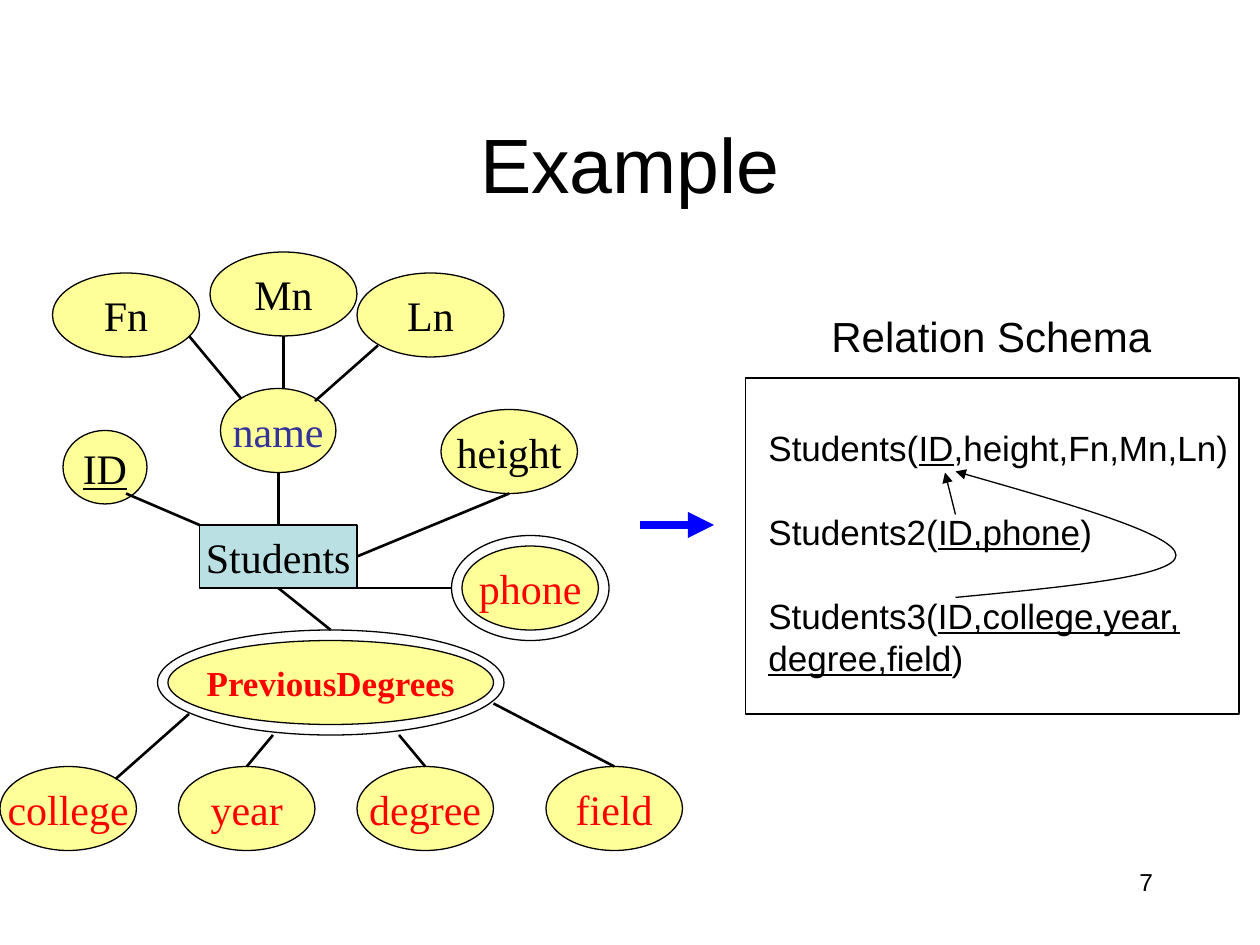
from dataclasses import dataclass

import pptx
import pptx.dml.color
import pptx.enum.shapes
import pptx.enum.text
import pptx.oxml
import pptx.oxml.ns
import pptx.util

COLORS = {"black": "000000", "red": "FF0000", "indigo": "333399", "blue": "0000FF",
          "yellow": "FFFF99", "teal": "BBE0E3"}
SERIF, SANS = "Times New Roman", "Arial"
ALIGN = pptx.enum.text.PP_ALIGN
ANCHOR = pptx.enum.text.MSO_ANCHOR
SHAPE = pptx.enum.shapes.MSO_SHAPE
Pt = pptx.util.Pt

prs = pptx.Presentation()
prs.slide_width, prs.slide_height = pptx.util.Inches(10), pptx.util.Inches(7.5)
slide = prs.slides.add_slide(prs.slide_layouts[6])

# Grid of 120 columns by 90 rows; all positions below are in its units
COL, ROW = prs.slide_width / 120, prs.slide_height / 90


@dataclass
class Node:
    """A box of the entity diagram; without a label it is an open outline."""
    x: float
    y: float
    w: float
    h: float
    label: str = ""
    color: str = "black"
    fill: str = "yellow"
    size: int = 24
    bold: bool = False
    underline: bool = False
    kind: int = SHAPE.OVAL


@dataclass
class Edge:
    x1: float
    y1: float
    x2: float
    y2: float
    color: str = "black"
    width: float = 1.5
    arrow: bool = False


@dataclass
class Label:
    """A text box; every second segment is underlined."""
    x: float
    y: float
    w: float
    h: float
    segments: list[str]
    size: int = 20
    before: int = 0
    align: int = ALIGN.LEFT
    anchor: int = ANCHOR.TOP
    wrap: bool = True


def rgb(name: str) -> pptx.dml.color.RGBColor:
    return pptx.dml.color.RGBColor.from_string(COLORS[name])


def place(*units: float) -> list[int]:
    """Turn alternating column and row counts into lengths."""
    return [round(u * (ROW if i % 2 else COL)) for i, u in enumerate(units)]


def add_run(p, text: str, color: str, **font) -> None:
    r = p.add_run()
    r.text = text
    r.font.color.rgb = rgb(color)
    for name, value in font.items():
        setattr(r.font, name, value)


def set_line(sp, color: str, width: float, arrow: bool = False) -> None:
    sp.line.color.rgb = rgb(color)
    sp.line.width = Pt(width)
    if arrow:
        pptx.oxml.ns.qn("a:tailEnd")
        tail = pptx.oxml.parse_xml(
            f'<a:tailEnd {pptx.oxml.ns.nsdecls("a")} type="triangle"/>')
        sp.line._get_or_add_ln().append(tail)


def add_node(node: Node) -> None:
    sp = slide.shapes.add_shape(node.kind, *place(node.x, node.y, node.w, node.h))
    sp.shadow.inherit = False
    set_line(sp, "black", 0.75)
    if not node.label:
        sp.fill.background()
        return
    sp.fill.solid()
    sp.fill.fore_color.rgb = rgb(node.fill)
    tf = sp.text_frame
    tf.word_wrap = False
    tf.vertical_anchor = ANCHOR.MIDDLE
    p = tf.paragraphs[0]
    p.alignment = ALIGN.CENTER
    add_run(p, node.label, node.color, name=SERIF, size=Pt(node.size),
            bold=node.bold, underline=node.underline)


def add_edge(edge: Edge) -> None:
    sp = slide.shapes.add_connector(pptx.enum.shapes.MSO_CONNECTOR.STRAIGHT,
                                    *place(edge.x1, edge.y1, edge.x2, edge.y2))
    set_line(sp, edge.color, edge.width, edge.arrow)
    sp._element.spPr.append(
        pptx.oxml.parse_xml(f'<a:effectLst {pptx.oxml.ns.nsdecls("a")}/>'))


def add_label(label: Label) -> None:
    tf = slide.shapes.add_textbox(*place(label.x, label.y, label.w, label.h)).text_frame
    tf.word_wrap = label.wrap
    tf.vertical_anchor = label.anchor
    p = tf.paragraphs[0]
    for name, value in {"alignment": label.align, "space_before": Pt(label.before)}.items():
        setattr(p, name, value)
    for i, text in enumerate(label.segments):
        add_run(p, text, "black", name=SANS, size=Pt(label.size), underline=i % 2 == 1)


def add_curve(start: tuple, curves: list[tuple]) -> None:
    """Draw Bezier curves; each one is two control points and an end point."""
    builder = slide.shapes.build_freeform(*place(*start))
    builder.add_line_segments([place(*points[-1]) for points in curves], close=False)
    sp = builder.convert_to_shape()
    sp.shadow.inherit = False
    sp.fill.background()
    set_line(sp, "black", 0.75, arrow=True)
    # Exchange each straight segment for its curve
    segments = list(sp._element.iter(pptx.oxml.ns.qn("a:lnTo")))
    for segment, points in zip(segments, curves):
        marks = ""
        for x, y in (place(*point) for point in points):
            marks += f'<a:pt x="{x - sp.left}" y="{y - sp.top}"/>'
        bezier = pptx.oxml.parse_xml(
            f'<a:cubicBezTo {pptx.oxml.ns.nsdecls("a")}>{marks}</a:cubicBezTo>')
        segment.getparent().replace(segment, bezier)


NODES = [
    # Entity and its attributes
    Node(19, 50, 15, 6, "Students", fill="teal", kind=SHAPE.RECTANGLE),
    Node(6, 41, 8, 7, "ID", underline=True),
    Node(21, 37, 11, 8, "name", "indigo"),
    Node(42, 39, 13, 8, "height"),
    # Parts of the name
    Node(5, 26, 14, 8, "Fn"),
    Node(20, 24, 14, 8, "Mn"),
    Node(34, 26, 14, 8, "Ln"),
    # Multivalued attributes with their outer rings
    Node(44, 52, 13, 8, "phone", "red"),
    Node(43, 51, 15, 10),
    Node(16, 61, 31, 8, "PreviousDegrees", "red", size=20, bold=True),
    Node(15, 60, 33, 10),
    # Parts of a degree
    *(Node(x, 73, 13, 8, text, "red")
      for x, text in [(0, "college"), (17, "year"), (34, "degree"), (52, "field")]),
    # Frame of the relation schema
    Node(71, 36, 47, 32, kind=SHAPE.RECTANGLE),
]

EDGES = [
    # Students to attributes
    Edge(19, 50, 12, 47), Edge(26.5, 50, 26.5, 45), Edge(34, 53, 48.5, 47),
    Edge(34, 56, 43, 56), Edge(26.5, 56, 31.5, 60),
    # Name to its parts
    Edge(23, 38, 18, 32), Edge(27, 37, 27, 32), Edge(30, 38.2, 36, 32.9),
    # Degrees to their parts
    Edge(18, 68, 11, 74.2), Edge(26, 70, 23.5, 73), Edge(40.5, 73, 38, 70),
    Edge(58.5, 73, 47, 67),
    # Diagram to schema, and foreign key
    Edge(61, 50, 68, 50, "blue", 5, True),
    Edge(91, 49, 90, 45, width=0.75, arrow=True),
]

LABELS = [
    Label(9, 8, 102, 15, ["Example"], 44, align=ALIGN.CENTER, anchor=ANCHOR.MIDDLE),
    Label(78, 29, 39, 6, ["Relation Schema"], 24, 15),
    Label(72, 40, 46.2, 5.3, ["Students(", "ID", ",height,Fn,Mn,Ln)"], before=5, wrap=False),
    Label(72, 48, 41.6, 5.3, ["Students2(", "ID,phone", ")"], before=5),
    Label(72, 56, 42, 9.3, ["Students3(", "ID,college,year,degree,field", ")"], before=5),
    Label(86, 82, 25, 6, ["7"], 14, align=ALIGN.RIGHT),
]

for node in NODES:
    add_node(node)
for edge in EDGES:
    add_edge(edge)
for label in LABELS:
    add_label(label)
# Foreign key from Students3 to Students
add_curve((91, 56.9), [((101.5, 55.9), (112, 54.9), (112, 52.9)),
                       ((112, 50.9), (101.5, 47.9), (91, 44.9))])

prs.save("out.pptx")
